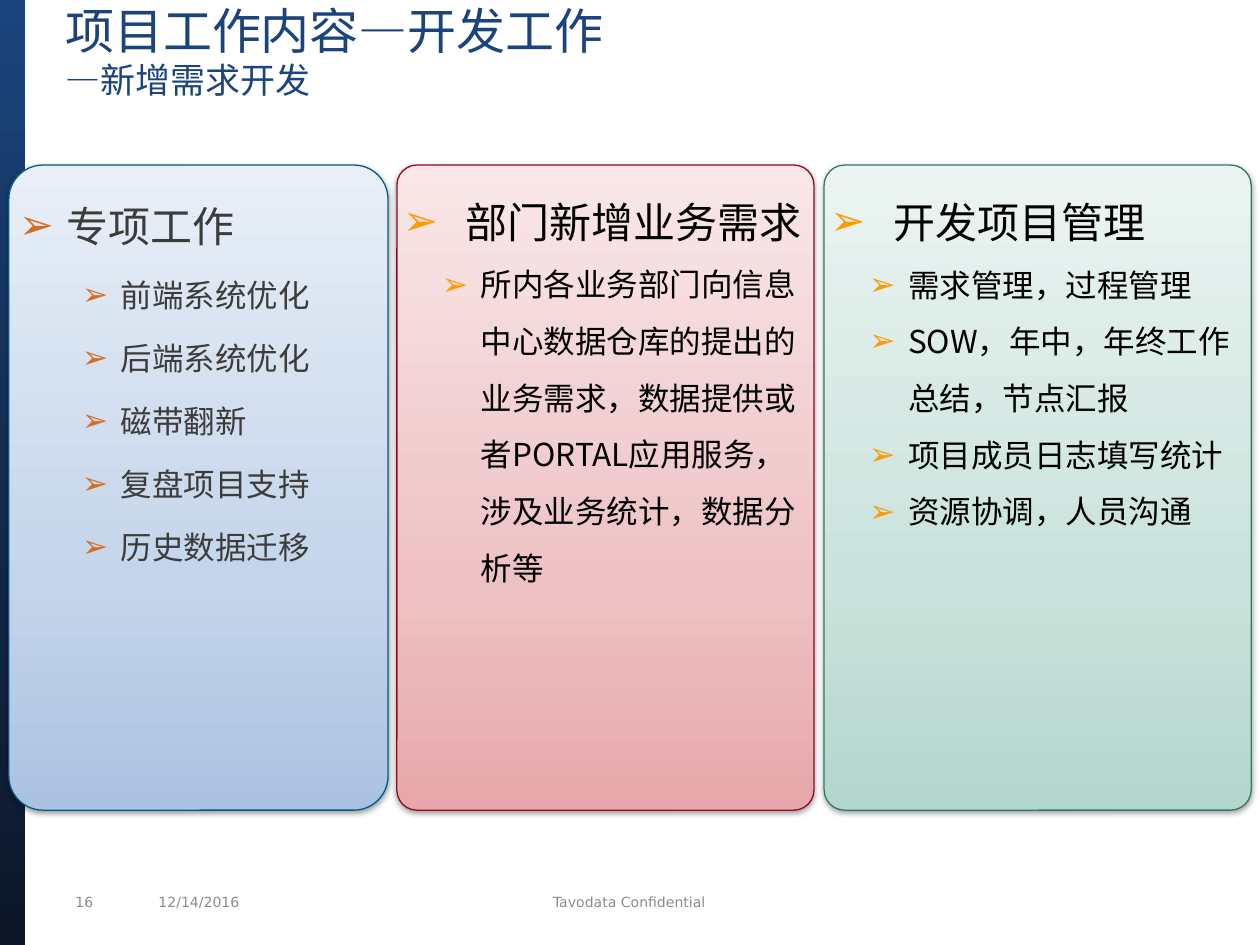
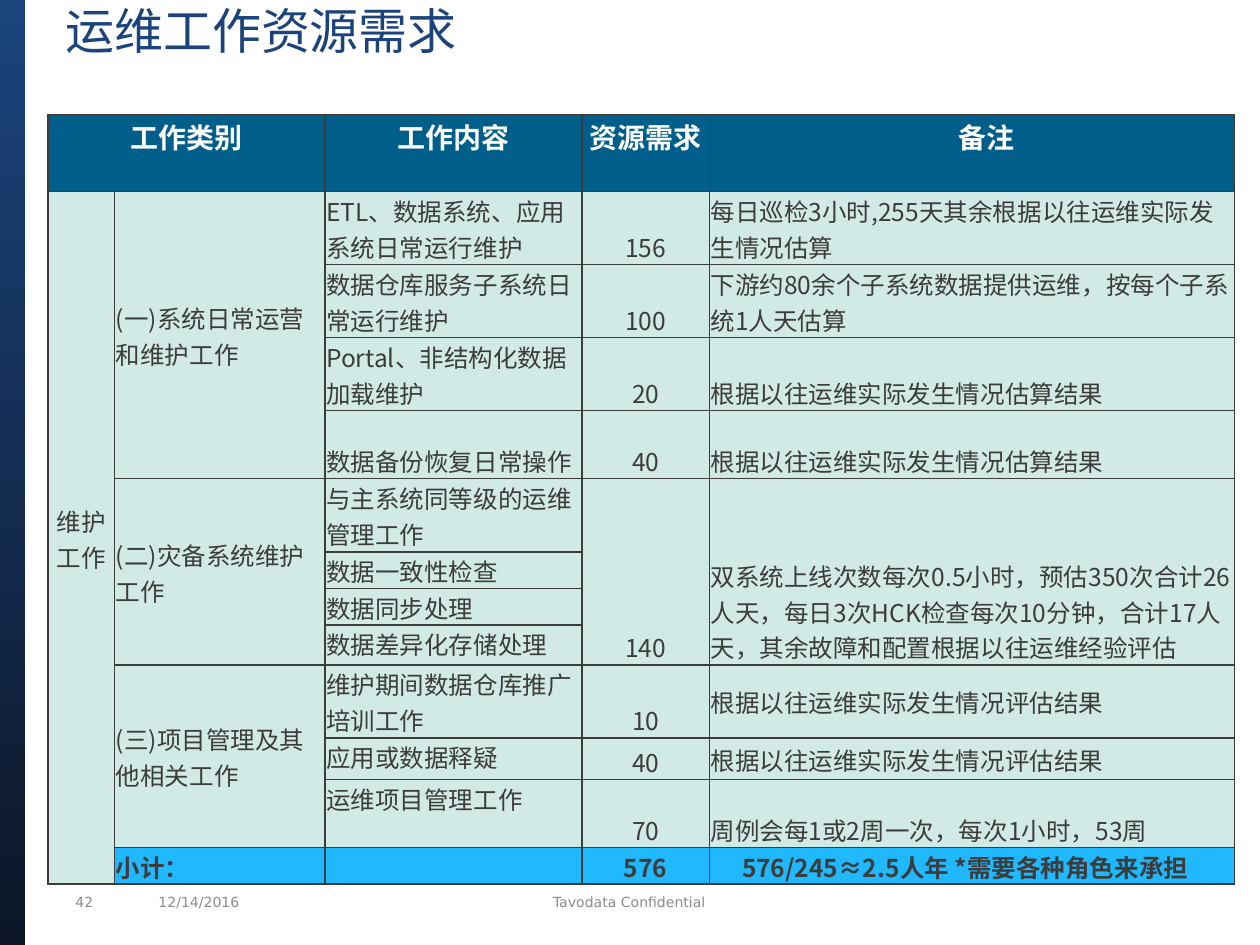
from dataclasses import dataclass
from typing import NamedTuple

from lxml import etree
from pptx import Presentation
from pptx.dml.color import RGBColor
from pptx.enum.shapes import MSO_SHAPE
from pptx.enum.text import MSO_ANCHOR, PP_ALIGN
from pptx.oxml.ns import qn
from pptx.util import Inches, Pt

RECTANGLE, ROUNDED = MSO_SHAPE.RECTANGLE, MSO_SHAPE.ROUNDED_RECTANGLE
TOP, MIDDLE, BOTTOM = MSO_ANCHOR.TOP, MSO_ANCHOR.MIDDLE, MSO_ANCHOR.BOTTOM
LEFT, CENTER = PP_ALIGN.LEFT, PP_ALIGN.CENTER

BODY_FONT, SYMBOL_FONT = "Noto Sans CJK SC", "DejaVu Sans"
NAVY, MIDNIGHT, GREY, INK = "1B447D", "0C1627", "8B8B89", "3C3C3B"
BLACK, WHITE, ORANGE, RUST = "000000", "FFFFFF", "FF9900", "D56D23"
HEADER_FILL, BODY_FILL, TOTAL_FILL = "005E8A", "D1EAE5", "20B8FF"

CARD_TOP, CARD_HEIGHT = 1.31, 5.12


class Indent(NamedTuple):
    left: float
    hanging: float


@dataclass
class Card:
    left: float
    width: float
    corner: float
    stops: list[tuple[int, str]]
    border: str
    heading: str
    items: list[str]
    text_color: str = BLACK
    bullet_color: str = ORANGE
    heading_indent: Indent = Indent(0.5, 0.5)
    item_indent: Indent = Indent(0.62, 0.31)
    space_before: float = 0


class Task(NamedTuple):
    height: float
    content: str
    days: str
    remark: str
    content_anchor: MSO_ANCHOR = TOP
    remark_anchor: MSO_ANCHOR = BOTTOM


class Group(NamedTuple):
    first_row: int
    row_count: int
    name: str


CARDS = [
    Card(0.07, 3.01, 0.09, [(0, "AAC2E2"), (35, "C4D4EA"), (100, "E8EFF7")], "005C87",
         "专项工作",
         ["前端系统优化", "后端系统优化", "磁带翻新", "复盘项目支持", "历史数据迁移"],
         INK, RUST, Indent(0.38, 0.38), Indent(0.81, 0.31), 3.6),
    Card(3.15, 3.31, 0.048, [(0, "E8A7AA"), (35, "EDC2C4"), (100, "F9E7E8")], "930A21",
         "部门新增业务需求",
         ["所内各业务部门向信息中心数据仓库的提出的业务需求，数据提供或者PORTAL应用服务，"
          "涉及业务统计，数据分析等"]),
    Card(6.54, 3.39, 0.048, [(0, "B3D6CD"), (35, "CAE2DB"), (100, "EBF4F2")], "34786B",
         "开发项目管理",
         ["需求管理，过程管理", "SOW，年中，年终工作总结，节点汇报",
          "项目成员日志填写统计", "资源协调，人员沟通"]),
]

ESTIMATED = "根据以往运维实际发生情况估算结果"
ASSESSED = "根据以往运维实际发生情况评估结果"
COLUMN_WIDTHS = [0.53, 1.67, 2.04, 1.01, 4.17]
HEADER_HEIGHT, ONE_LINE, TWO_LINES = 0.61, 0.29, 0.58
TASKS = [
    Task(TWO_LINES, "ETL、数据系统、应用系统日常运行维护", "156",
         "每日巡检3小时,255天其余根据以往运维实际发生情况估算", BOTTOM),
    Task(TWO_LINES, "数据仓库服务子系统日常运行维护", "100",
         "下游约80余个子系统数据提供运维，按每个子系统1人天估算", BOTTOM),
    Task(TWO_LINES, "Portal、非结构化数据加载维护", "20", ESTIMATED, BOTTOM),
    Task(0.54, "数据备份恢复日常操作", "40", ESTIMATED, BOTTOM),
    Task(TWO_LINES, "与主系统同等级的运维管理工作", "140",
         "双系统上线次数每次0.5小时，预估350次合计26人天，每日3次HCK检查每次10分钟，"
         "合计17人天，其余故障和配置根据以往运维经验评估"),
    Task(ONE_LINE, "数据一致性检查", "", ""),
    Task(ONE_LINE, "数据同步处理", "", ""),
    Task(0.32, "数据差异化存储处理", "", ""),
    Task(TWO_LINES, "维护期间数据仓库推广培训工作", "10", ASSESSED, TOP, MIDDLE),
    Task(0.33, "应用或数据释疑", "40", ASSESSED, TOP, MIDDLE),
    Task(0.54, "运维项目管理工作", "70", "周例会每1或2周一次，每次1小时，53周"),
]
GROUPS = [
    Group(1, 4, "(一)系统日常运营和维护工作"),
    Group(5, 4, "(二)灾备系统维护工作"),
    Group(9, 3, "(三)项目管理及其他相关工作"),
]
TOTAL_ROW = len(TASKS) + 1


def rgb(color: str) -> RGBColor:
    return RGBColor.from_string(color)


def add_color(parent, color: str):
    return etree.SubElement(parent, qn("a:srgbClr"), val=color)


def format_runs(para, size: float, color: str, font: str = BODY_FONT, bold: bool = False) -> None:
    for span in para.runs:
        span.font.size = Pt(size)
        span.font.bold = bold
        span.font.color.rgb = rgb(color)
        span.font.name = font
        etree.SubElement(span.font._element, qn("a:ea"), typeface=font)


def add_text(page, left: float, top: float, width: float, height: float, text: str):
    box = page.shapes.add_textbox(Inches(left), Inches(top), Inches(width), Inches(height))
    box.text_frame.word_wrap = True
    box.text_frame.text = text
    return box.text_frame


def add_gradient_shape(page, kind, left: float, top: float, width: float, height: float,
                       stops: list[tuple[int, str]]):
    """Add a preset shape whose gradient stops run from bottom to top."""
    shape = page.shapes.add_shape(kind, Inches(left), Inches(top), Inches(width), Inches(height))
    shape.shadow.inherit = False
    shape.line.fill.background()
    shape.fill.gradient()
    shape.fill.gradient_angle = 90
    stop_list = shape._element.spPr.find(qn("a:gradFill")).find(qn("a:gsLst"))
    for old_stop in list(stop_list):
        stop_list.remove(old_stop)
    for position, color in stops:
        add_color(etree.SubElement(stop_list, qn("a:gs"), pos=str(position * 1000)), color)
    return shape


def add_soft_shadow(shape) -> None:
    effects = shape._element.spPr.find(qn("a:effectLst"))
    shadow = etree.SubElement(effects, qn("a:outerShdw"), blurRad=str(Pt(3.1)),
                              dist=str(Pt(1.6)), dir="5400000", rotWithShape="0")
    etree.SubElement(add_color(shadow, BLACK), qn("a:alpha"), val="38000")


def add_bullet(para, color: str, indent: Indent) -> None:
    properties = para._p.get_or_add_pPr()
    properties.set("marL", str(Inches(indent.left)))
    properties.set("indent", str(-Inches(indent.hanging)))
    add_color(etree.SubElement(properties, qn("a:buClr")), color)
    etree.SubElement(properties, qn("a:buFont"), typeface=SYMBOL_FONT)
    etree.SubElement(properties, qn("a:buChar"), char="➢")


def add_page(deck, number: str, title_width: float, title: str):
    """Add a slide with the side band, the footer and the title."""
    page = deck.slides.add_slide(deck.slide_layouts[6])
    footers = [(0.5, 0.5, number, LEFT), (1.16, 1.67, "12/14/2016", LEFT),
               (2.91, 4.17, "Tavodata Confidential", CENTER)]
    for left, width, text, align in footers:
        frame = add_text(page, left, 7.04, width, 0.24, text)
        frame.vertical_anchor = MIDDLE
        frame.paragraphs[0].alignment = align
        format_runs(frame.paragraphs[0], 8, GREY, SYMBOL_FONT)
    add_gradient_shape(page, RECTANGLE, 0, 0, 0.2, 7.5, [(0, MIDNIGHT), (100, NAVY)])
    frame = add_text(page, 0.42, 0, title_width, 1.25, title)
    frame.margin_top = frame.margin_bottom = 0
    for para, size in zip(frame.paragraphs, (28, 20)):
        format_runs(para, size, NAVY)
    return page


def add_card(page, card: Card) -> None:
    shape = add_gradient_shape(page, ROUNDED, card.left, CARD_TOP, card.width, CARD_HEIGHT,
                               card.stops)
    shape.adjustments[0] = card.corner
    shape.line.color.rgb = rgb(card.border)
    shape.line.width = Pt(0.75)
    add_soft_shadow(shape)
    frame = shape.text_frame
    frame.margin_left = frame.margin_right = frame.margin_top = frame.margin_bottom = 0
    frame.vertical_anchor = TOP
    frame.word_wrap = True
    frame.text = "\n".join([card.heading, *card.items])
    for index, para in enumerate(frame.paragraphs):
        add_bullet(para, card.bullet_color, card.item_indent if index else card.heading_indent)
        para.level = 1 if index else 0
        para.alignment = LEFT
        para.line_spacing = 1.5
        if index and card.space_before:
            para.space_before = Pt(card.space_before)
        format_runs(para, 18 if index else 24, card.text_color)


def style_cell(cell, fill: str) -> None:
    properties = cell._tc.get_or_add_tcPr()
    for side in ("a:lnL", "a:lnR", "a:lnT", "a:lnB"):
        line = etree.SubElement(properties, qn(side), w=str(Pt(1)))
        add_color(etree.SubElement(line, qn("a:solidFill")), INK)
    cell.fill.solid()
    cell.fill.fore_color.rgb = rgb(fill)
    cell.margin_left = cell.margin_right = cell.margin_top = Inches(0.01)
    cell.margin_bottom = 0
    etree.SubElement(cell.text_frame.paragraphs[0]._p, qn("a:endParaRPr"), sz="1400")


def write_cell(cell, text: str, anchor=BOTTOM, align=LEFT, size: float = 14,
               color: str = INK, bold: bool = False, indent: float = 0.01) -> None:
    cell.text_frame.text = text
    cell.vertical_anchor = anchor
    cell.margin_left = Inches(indent)
    para = cell.text_frame.paragraphs[0]
    para.alignment = align
    format_runs(para, size, color, bold=bold)


def add_resource_table(page) -> None:
    heights = [HEADER_HEIGHT, *(task.height for task in TASKS), ONE_LINE]
    frame = page.shapes.add_table(len(heights), len(COLUMN_WIDTHS), Inches(0.38), Inches(0.91),
                                  Inches(sum(COLUMN_WIDTHS)), Inches(sum(heights)))
    table = frame.table
    table.first_row = table.horz_banding = False
    for column, width in zip(table.columns, COLUMN_WIDTHS):
        column.width = Inches(width)
    for row_index, height in enumerate(heights):
        table.rows[row_index].height = Inches(height)
        for column_index in range(len(COLUMN_WIDTHS)):
            fill = BODY_FILL
            if row_index == 0:
                fill = HEADER_FILL
            elif row_index == TOTAL_ROW and column_index:
                fill = TOTAL_FILL
            style_cell(table.cell(row_index, column_index), fill)

    table.cell(0, 0).merge(table.cell(0, 1))
    table.cell(1, 0).merge(table.cell(TOTAL_ROW, 0))
    for group in GROUPS:
        last_row = group.first_row + group.row_count - 1
        table.cell(group.first_row, 1).merge(table.cell(last_row, 1))
        write_cell(table.cell(group.first_row, 1), group.name, MIDDLE)
    for column_index in (3, 4):
        table.cell(5, column_index).merge(table.cell(8, column_index))

    headers = [(0, "工作类别", 0.01), (2, "工作内容", 0.01), (3, "资源需求", 0.01),
               (4, "备注", 0.24)]
    for column_index, text, indent in headers:
        write_cell(table.cell(0, column_index), text, TOP, CENTER, 16, WHITE, True, indent)
    write_cell(table.cell(1, 0), "维护工作", MIDDLE, CENTER)
    for row_index, task in enumerate(TASKS, start=1):
        write_cell(table.cell(row_index, 2), task.content, task.content_anchor)
        if task.days:
            write_cell(table.cell(row_index, 3), task.days, align=CENTER)
            write_cell(table.cell(row_index, 4), task.remark, task.remark_anchor)
    write_cell(table.cell(TOTAL_ROW, 1), "小计：", bold=True)
    write_cell(table.cell(TOTAL_ROW, 3), "576", align=CENTER, bold=True)
    write_cell(table.cell(TOTAL_ROW, 4), "576/245≈2.5人年 *需要各种角色来承担",
               bold=True, indent=0.26)


def main() -> None:
    deck = Presentation()
    deck.slide_width, deck.slide_height = Inches(10), Inches(7.5)
    development = add_page(deck, "16", 6, "项目工作内容—开发工作\n—新增需求开发")
    for card in CARDS:
        add_card(development, card)
    add_resource_table(add_page(deck, "42", 4.82, "运维工作资源需求"))
    deck.save("out.pptx")


if __name__ == "__main__":
    main()
